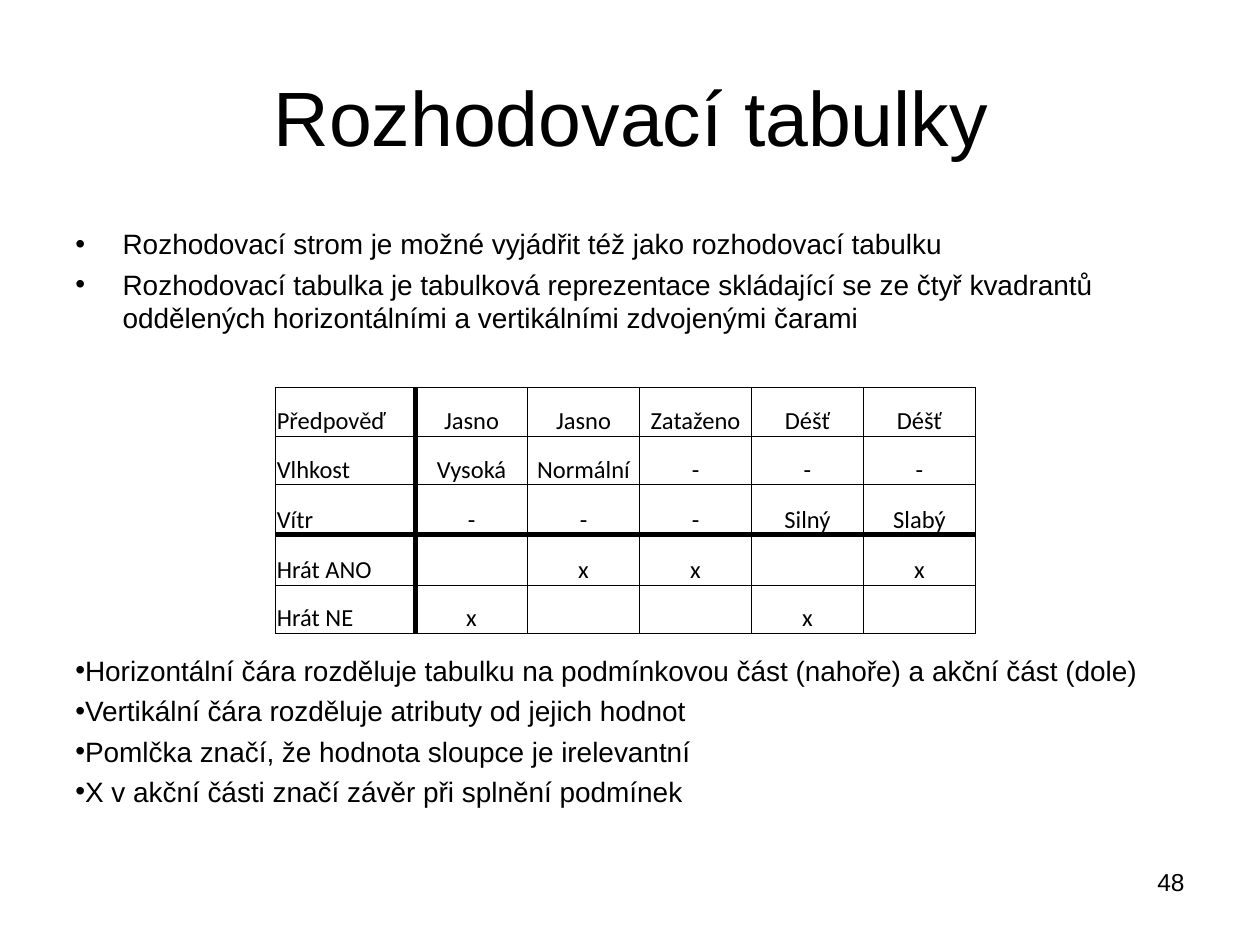
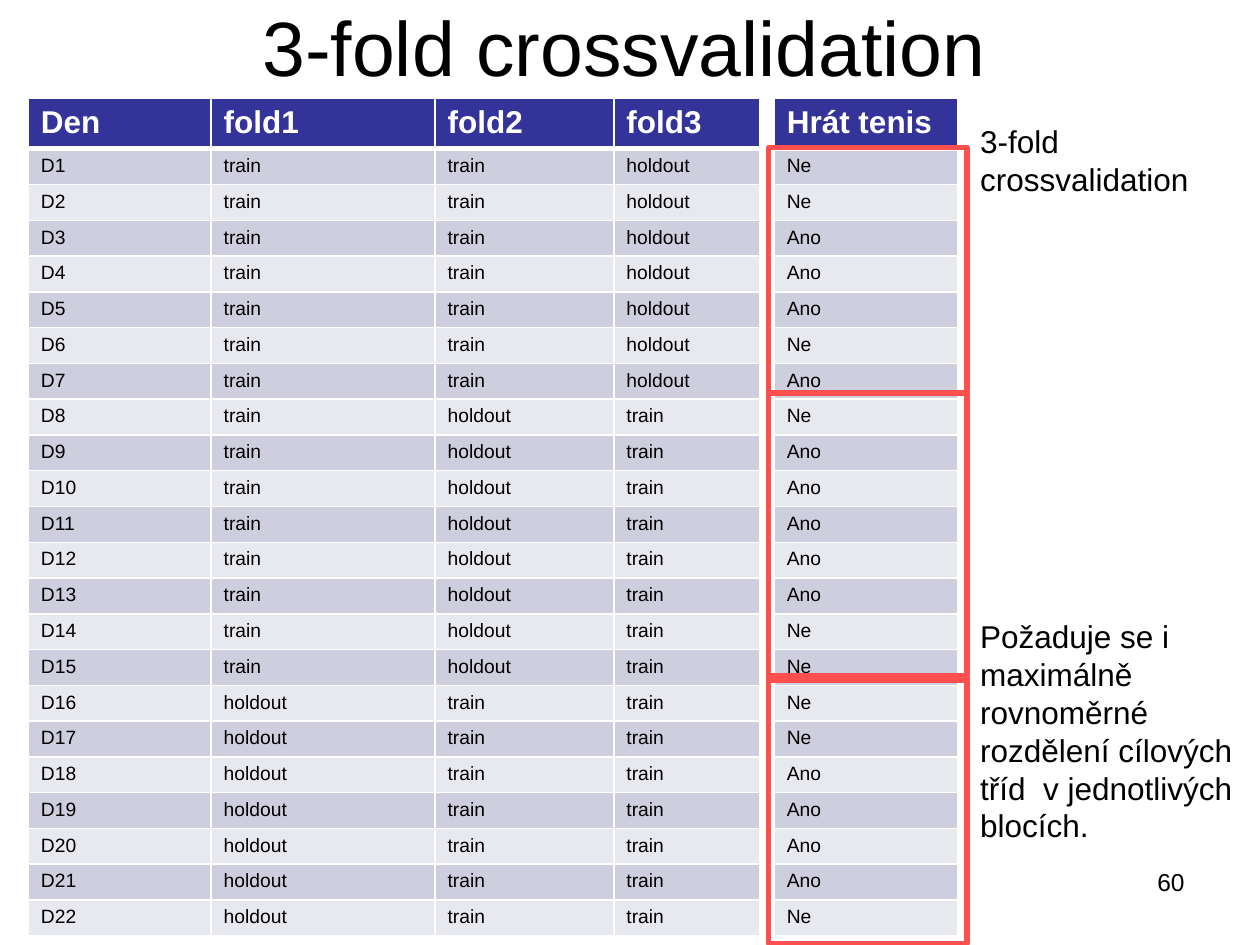
from lxml.etree import SubElement as Sub
from pptx import Presentation
from pptx.dml.color import RGBColor
from pptx.enum.shapes import MSO_SHAPE as Kind
from pptx.enum.text import MSO_ANCHOR as Anchor, PP_ALIGN as Align
from pptx.oxml.ns import qn
from pptx.util import Pt

BLACK = RGBColor(0x00, 0x00, 0x00)
WHITE = RGBColor(0xFF, 0xFF, 0xFF)
NAVY = RGBColor(0x33, 0x33, 0x99)
DARK = RGBColor(0xCE, 0xCE, 0xDE)
LIGHT = RGBColor(0xE8, 0xE8, 0xEF)
RED = RGBColor(0xFF, 0x50, 0x50)

INTRO = [
    "Rozhodovací strom je možné vyjádřit též jako rozhodovací tabulku",
    "Rozhodovací tabulka je tabulková reprezentace skládající se ze čtyř kvadrantů "
    "oddělených horizontálními a vertikálními zdvojenými čarami",
]
NOTES = [
    "Horizontální čára rozděluje tabulku na podmínkovou část (nahoře) a akční část (dole)",
    "Vertikální čára rozděluje atributy od jejich hodnot",
    "Pomlčka značí, že hodnota sloupce je irelevantní",
    "X v akční části značí závěr při splnění podmínek",
]
RULES = [
    ["Předpověď", "Jasno", "Jasno", "Zataženo", "Déšť", "Déšť"],
    ["Vlhkost", "Vysoká", "Normální", "-", "-", "-"],
    ["Vítr", "-", "-", "-", "Silný", "Slabý"],
    ["Hrát ANO", "", "x", "x", "", "x"],
    ["Hrát NE", "x", "", "", "x", ""],
]
SPLIT = 3
FOLDS = ["fold1", "fold2", "fold3"]
BLOCKS = [
    ["Ne", "Ne", "Ano", "Ano", "Ano", "Ne", "Ano"],
    ["Ne", "Ano", "Ano", "Ano", "Ano", "Ano", "Ne", "Ne"],
    ["Ne", "Ne", "Ano", "Ano", "Ano", "Ano", "Ne"],
]
FRAMES = [(84.2, 140.4), (224.6, 164.2), (385.9, 153.4)]
ASIDES = [
    ("3-fold crossvalidation", 66.2, 94.3),
    ("Požaduje se i maximálně  rovnoměrné rozdělení cílových tříd  v jednotlivých blocích.",
     349.2, 138.2),
]


def style(para, size, color=BLACK, font="Arial", bold=False, align=Align.LEFT):
    para.alignment = align
    for run in para.runs:
        run.font.size = Pt(size)
        run.font.name = font
        run.font.bold = bold
        run.font.color.rgb = color


def write(slide, box, text, size, align=Align.LEFT, anchor=Anchor.TOP):
    frame = slide.shapes.add_textbox(*map(Pt, box)).text_frame
    frame.word_wrap = True
    frame.vertical_anchor = anchor
    frame.text = text
    for para in frame.paragraphs:
        style(para, size, align=align)
    return frame


def start(deck, title, box, number):
    slide = deck.slides.add_slide(deck.slide_layouts[6])
    write(slide, box, title, 44, Align.CENTER, Anchor.MIDDLE)
    write(slide, (516.2, 491.8, 167.8, 37.4), number, 14, Align.RIGHT)
    return slide


def bullet(para, left, before):
    props = para._p.get_or_add_pPr()
    props.set("marL", str(Pt(left)))
    props.set("indent", str(-Pt(left)))
    Sub(props, qn("a:buFont"), typeface="Arial")
    Sub(props, qn("a:buChar"), char="•")
    para.space_before = Pt(before)


def edge(cell, color, **widths):
    props = cell._tc.get_or_add_tcPr()
    for side in "LRTB":
        line = Sub(props, qn("a:ln" + side), w=str(Pt(widths[side])))
        Sub(Sub(line, qn("a:solidFill")), qn("a:srgbClr"), val=str(color))


def grid(slide, left, top, cols, rows, data):
    shape = slide.shapes.add_table(len(rows), len(cols), Pt(left), Pt(top),
                                   Pt(sum(cols)), Pt(sum(rows)))
    table = shape.table
    table.first_row = table.horz_banding = False
    for col, width in zip(table.columns, cols):
        col.width = Pt(width)
    for row, high in zip(table.rows, rows):
        row.height = Pt(high)
    for r, line in enumerate(data):
        for c, text in enumerate(line):
            cell = table.cell(r, c)
            cell.text_frame.text = text
            yield r, c, cell


def rule_table(slide):
    rows = [27.7, 27.7, 28.7, 28.7, 27.7]
    for r, c, cell in grid(slide, 157.5, 221.5, [80] + [64] * 5, rows, RULES):
        cell.margin_left = cell.margin_right = cell.margin_top = Pt(0.7)
        cell.margin_bottom = 0
        cell.vertical_anchor = Anchor.BOTTOM
        style(cell.text_frame.paragraphs[0], 14, font="Calibri",
              align=Align.CENTER if c else Align.LEFT)
        edge(cell, BLACK, L=3 if c == 1 else 0.5, R=3 if c == 0 else 0.5,
             T=3 if r == SPLIT else 0.5, B=3 if r == SPLIT - 1 else 0.5)
        cell.fill.background()


def band_table(slide, left, cols, high, data):
    rows = [28] + [high] * (len(data) - 1)
    for r, c, cell in grid(slide, left, 56.2, cols, rows, data):
        head = r == 0
        style(cell.text_frame.paragraphs[0], 18 if head else 11,
              WHITE if head else BLACK, bold=head)
        edge(cell, WHITE, L=1, R=1, T=3 if r == 1 else 1, B=3 if head else 1)
        cell.fill.solid()
        cell.fill.fore_color.rgb = NAVY if head else DARK if r % 2 else LIGHT


def rules_slide(deck):
    slide = start(deck, "Rozhodovací tabulky", (36.7, 20.9, 648, 90), "48")
    frame = write(slide, (36, 126, 653, 356.4), "\n".join(INTRO + NOTES), 16)
    for i, para in enumerate(frame.paragraphs):
        bullet(para, 27 if i < len(INTRO) else 0, 182.3 if i == len(INTRO) else 3.9)
    rule_table(slide)


def folds_slide(deck):
    slide = start(deck, "3-fold crossvalidation", (14.4, -2.2, 684.7, 56.9), "60")
    days, plays = [["Den"] + FOLDS], [["Hrát tenis"]]
    for b, block in enumerate(BLOCKS):
        held = len(FOLDS) - 1 - b
        marks = ["holdout" if f == held else "train" for f in range(len(FOLDS))]
        for play in block:
            days.append([f"D{len(days)}"] + marks)
            plays.append([play])
    band_table(slide, 16.2, [104.4, 128, 102.2, 83.2], 20.05, days)
    for text, top, high in ASIDES:
        write(slide, (553, top, 164.2, high), text, 18)
    band_table(slide, 442.4, [105], 20.42, plays)
    for top, high in FRAMES:
        box = slide.shapes.add_shape(Kind.RECTANGLE, Pt(439.2), Pt(top), Pt(113.5), Pt(high))
        box.shadow.inherit = False
        box.fill.background()
        box.line.color.rgb = RED
        box.line.width = Pt(3)


def main():
    deck = Presentation()
    deck.slide_width, deck.slide_height = Pt(720), Pt(540)
    rules_slide(deck)
    folds_slide(deck)
    deck.save("out.pptx")


if __name__ == "__main__":
    main()
